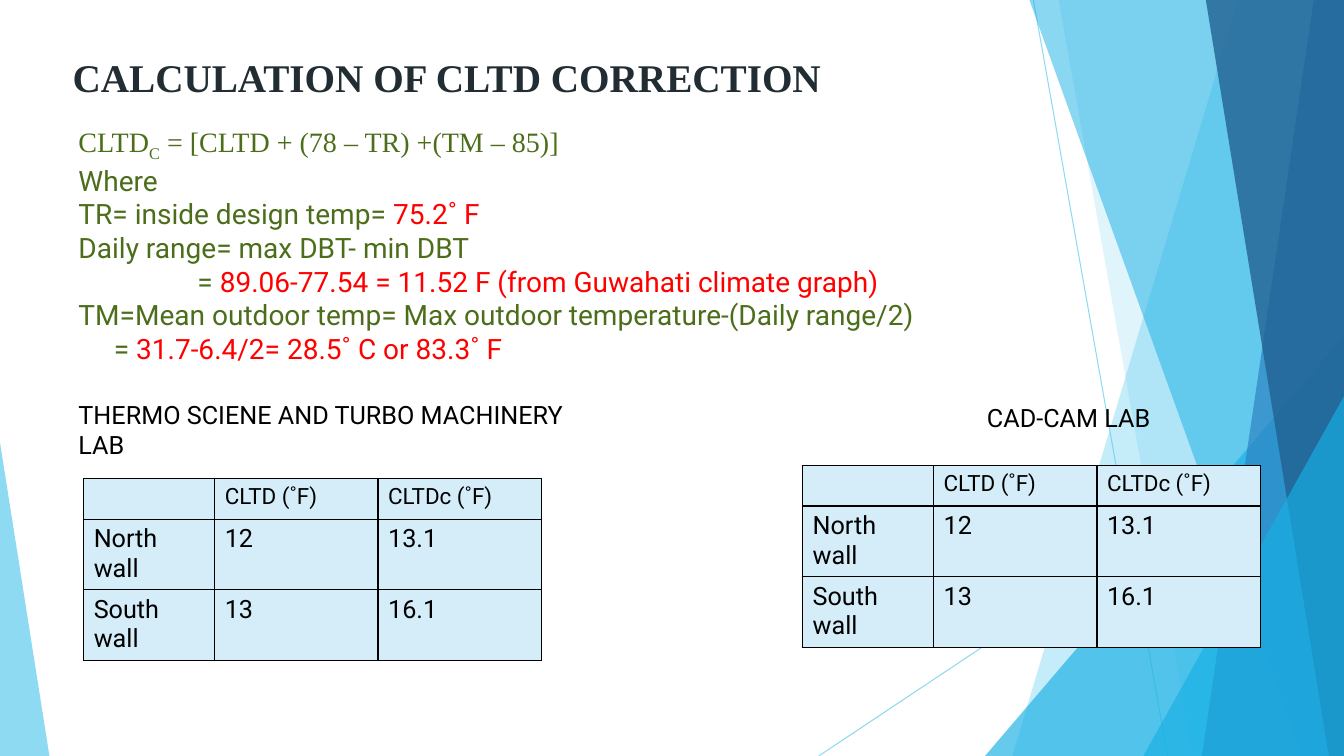
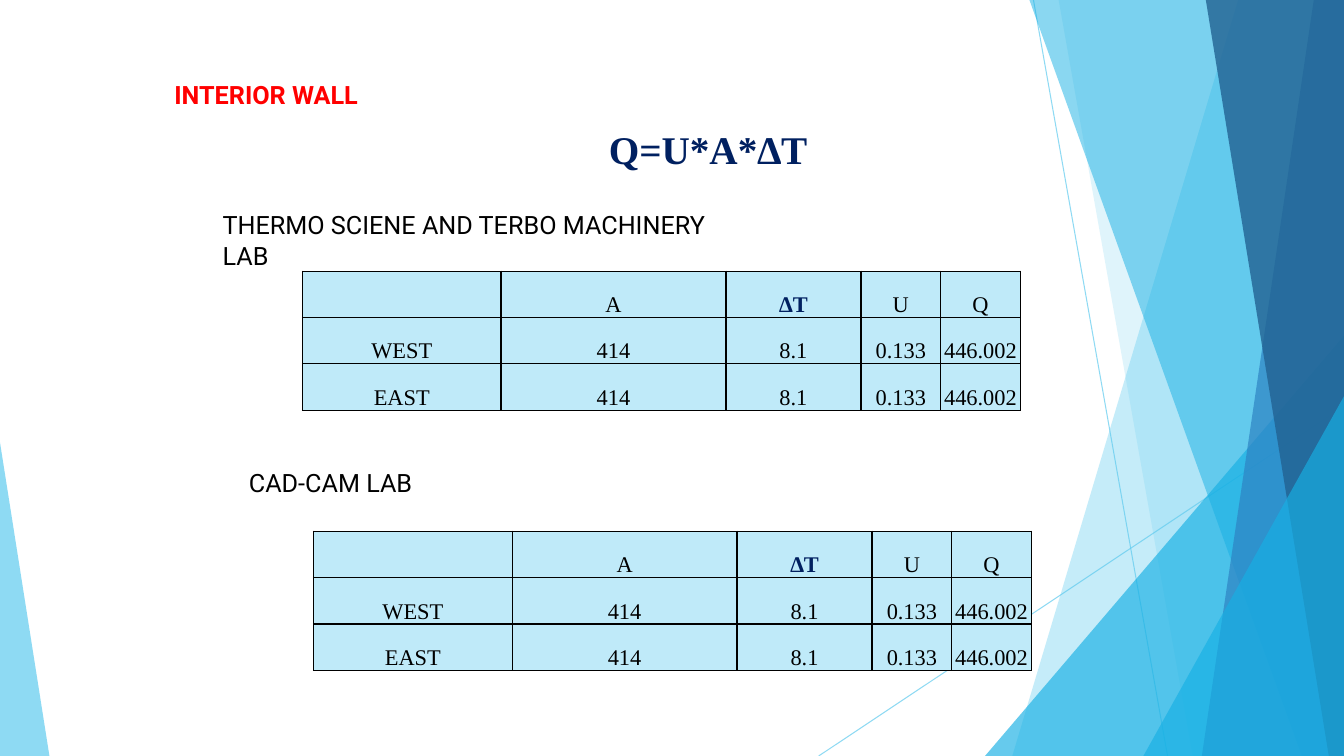
from lxml.etree import SubElement
from pptx import Presentation
from pptx.dml.color import RGBColor
from pptx.enum.shapes import MSO_CONNECTOR, MSO_SHAPE
from pptx.enum.text import MSO_ANCHOR as Anchor, PP_ALIGN as Align
from pptx.oxml.ns import qn
from pptx.util import Inches, Pt

WIDTH, HEIGHT = 13.33, 7.5
SANS, SERIF = "Roboto", "Times New Roman"
BLACK, RED, GREEN, NAVY, DARK = "000000", "FF0000", "4C6E1B", "002060", "212D32"
SKY, AZURE, BLUE, DEEP = "5FCBEF", "17B0E4", "2E83C3", "226292"

# Formats
HEADING = {"name": SERIF, "size": 28, "color": DARK, "bold": True}
FORMULA = {**HEADING, "color": NAVY}
SECTION = {"name": SANS, "size": 18, "color": RED, "bold": True}
LABEL = {"name": SANS, "size": 18, "color": BLACK, "bold": False}
HEADER = {**LABEL, "size": 16}
EQUATION = {"name": SERIF, "size": 20, "color": GREEN}
STEP = {**EQUATION, "name": SANS}
RESULT = {**STEP, "color": RED}
FIGURE = {"name": SERIF, "size": 16, "color": BLACK, "bold": False}
DELTA = {**FIGURE, "color": NAVY, "bold": True}

# Backdrop, back to front: lines (from, to), bands (top x, bottom x, reaching
# the right edge) and triangles (left, top, width, apex); colour, opacity %
BACKDROP = [
    ("line", (10.25, 0, 11.58, HEIGHT), SKY, 70),
    ("line", (WIDTH, 4.03, 8.12, HEIGHT), SKY, 70),
    ("band", (12.28, 10.04), SKY, 36),
    ("band", (10.5, 11.83), SKY, 20),
    ("triangle", (9.77, 3.33, 3.56, 1), AZURE, 66),
    ("band", (10.21, 12.91), AZURE, 50),
    ("band", (13.03, 11.92), BLUE, 70),
    ("band", (11.96, 13.18), DEEP, 80),
    ("triangle", (11.34, 3.93, 1.99, 1), AZURE, 66),
    ("triangle", (0, 4.39, 0.49, 0), SKY, 70),
]

# Text boxes: place, alignment, paragraphs as (indent, runs)
CORRECTION_TEXTS = [
    ((0.2, 0.48, 8.46, 0.57), Align.CENTER,
     [(0, [("CALCULATION OF CLTD CORRECTION", HEADING)])]),
    ((0.68, 3.91, 5.12, 0.71), Align.LEFT,
     [(0, [("THERMO SCIENE AND TURBO MACHINERY LAB", LABEL)])]),
    ((9.69, 3.94, 1.99, 0.4), Align.LEFT, [(0, [("CAD-CAM LAB", LABEL)])]),
    ((0.68, 1.19, 10.41, 2.79), Align.LEFT, [
        (0, [("CLTD", EQUATION), ("C", {**EQUATION, "baseline": -25}),
             (" = [CLTD + (78 – TR) +(TM – 85)]", EQUATION)]),
        (0, [("Where", STEP)]),
        (0, [("TR= inside design temp= ", STEP), ("75.2˚ F", RESULT)]),
        (0, [("Daily range= max DBT- min DBT", STEP)]),
        (1.18, [("= ", STEP),
                ("89.06-77.54 = 11.52 F (from Guwahati climate graph)", RESULT)]),
        (0, [("TM=Mean outdoor temp= Max outdoor temperature-(Daily range/2)", STEP)]),
        (0.35, [("= ", STEP), ("31.7-6.4/2= 28.5˚ C or 83.3˚ F", RESULT)]),
    ]),
]
WALL_TEXTS = [
    ((1.3, 0.74, 2.68, 0.4), Align.CENTER, [(0, [("INTERIOR WALL", SECTION)])]),
    ((5.94, 1.19, 2.19, 0.57), Align.LEFT, [(0, [("Q=U*A*∆T", FORMULA)])]),
    ((2.11, 2.03, 5.12, 0.71), Align.LEFT,
     [(0, [("THERMO SCIENE AND TERBO MACHINERY LAB", LABEL)])]),
    ((2.37, 4.59, 1.99, 0.4), Align.LEFT, [(0, [("CAD-CAM LAB", LABEL)])]),
]

# Table kinds: the two labs of each slide show the same values
CLTD_TABLE = {
    "rows": [["", "CLTD (˚F)", "CLTDc (˚F)"],
             ["North wall", "12", "13.1"],
             ["South wall", "13", "16.1"]],
    "widths": [1.3, 1.62, 1.62], "heights": [0.4, 0.7, 0.7], "fill": "D4EDF9",
    "header": HEADER, "body": LABEL, "align": Align.LEFT, "cell": {},
}
HEAT_TABLE = {
    "rows": [["", "A", "∆T", "U", "Q"],
             ["WEST", "414", "8.1", "0.133", "446.002"],
             ["EAST", "414", "8.1", "0.133", "446.002"]],
    "widths": [1.97, 2.23, 1.34, 0.79, 0.79], "heights": [0.46] * 3,
    "fill": "BFEAF9", "header": FIGURE, "body": FIGURE, "align": Align.CENTER,
    "cell": {"margin_left": Inches(0.01), "margin_right": Inches(0.01),
             "margin_top": Inches(0.01), "margin_bottom": 0,
             "vertical_anchor": Anchor.BOTTOM},
}
SLIDES = [
    (CORRECTION_TEXTS, CLTD_TABLE, [(0.83, 4.75), (7.96, 4.62)]),
    (WALL_TEXTS, HEAT_TABLE, [(3, 2.69), (3.11, 5.27)]),
]


def rgb(color):
    return RGBColor.from_string(color)


def inches(values):
    return [Inches(value) for value in values]


def set_opacity(shape, percent):
    color = shape.element.spPr.find(".//" + qn("a:srgbClr"))
    SubElement(color, qn("a:alpha"), val=str(percent * 1000))


def add_run(para, text, look):
    span = para.add_run()
    span.text = text
    for key, value in look.items():
        if key == "color":
            span.font.color.rgb = rgb(value)
        elif key == "baseline":
            span.font._element.set("baseline", str(value * 1000))
        else:
            setattr(span.font, key, Pt(value) if key == "size" else value)


def add_backdrop(page):
    for kind, numbers, color, opacity in BACKDROP:
        if kind == "line":
            shape = page.shapes.add_connector(MSO_CONNECTOR.STRAIGHT, *inches(numbers))
            shape.line.color.rgb = rgb(color)
            shape.line.width = Pt(0.75)
            SubElement(shape.element.spPr, qn("a:effectLst"))
        else:
            if kind == "band":
                top, bottom = numbers
                outline = page.shapes.build_freeform(Inches(top), 0)
                corners = [(WIDTH, 0), (WIDTH, HEIGHT), (bottom, HEIGHT)]
                outline.add_line_segments([inches(corner) for corner in corners])
                shape = outline.convert_to_shape()
            else:
                left, top, width, apex = numbers
                shape = page.shapes.add_shape(
                    MSO_SHAPE.ISOSCELES_TRIANGLE,
                    *inches((left, top, width, HEIGHT - top)))
                shape.adjustments[0] = apex
            shape.shadow.inherit = False
            shape.fill.solid()
            shape.fill.fore_color.rgb = rgb(color)
            shape.line.fill.background()
        set_opacity(shape, opacity)


def add_text(page, place, align, paragraphs):
    frame = page.shapes.add_textbox(*inches(place)).text_frame
    frame.word_wrap = True
    for number, (indent, runs) in enumerate(paragraphs):
        para = frame.add_paragraph() if number else frame.paragraphs[0]
        para.alignment = align
        if indent:
            para._p.get_or_add_pPr().set("marL", str(Inches(indent)))
        for text, look in runs:
            add_run(para, text, look)


def add_borders(cell):
    properties = cell._tc.get_or_add_tcPr()
    for side in ("lnL", "lnR", "lnT", "lnB"):
        line = SubElement(properties, qn("a:" + side), w=str(Pt(1)))
        SubElement(SubElement(line, qn("a:solidFill")), qn("a:srgbClr"), val=BLACK)


def add_table(page, left, top, kind):
    rows, widths, heights = kind["rows"], kind["widths"], kind["heights"]
    place = inches((left, top, sum(widths), sum(heights)))
    table = page.shapes.add_table(len(rows), len(widths), *place).table
    for column, width in zip(table.columns, widths):
        column.width = Inches(width)
    for row, height in zip(table.rows, heights):
        row.height = Inches(height)
    for row_number, texts in enumerate(rows):
        for column_number, text in enumerate(texts):
            cell = table.cell(row_number, column_number)
            add_borders(cell)
            cell.fill.solid()
            cell.fill.fore_color.rgb = rgb(kind["fill"])
            if not text:
                continue
            for key, value in kind["cell"].items():
                setattr(cell, key, value)
            look = kind["body"] if row_number else kind["header"]
            para = cell.text_frame.paragraphs[0]
            para.alignment = kind["align"]
            add_run(para, text, DELTA if text == "∆T" else look)


def main():
    deck = Presentation()
    deck.slide_width, deck.slide_height = inches((WIDTH, HEIGHT))
    for texts, kind, corners in SLIDES:
        page = deck.slides.add_slide(deck.slide_layouts[6])
        add_backdrop(page)
        for place, align, paragraphs in texts:
            add_text(page, place, align, paragraphs)
        for left, top in corners:
            add_table(page, left, top, kind)
    deck.save("out.pptx")


if __name__ == "__main__":
    main()
